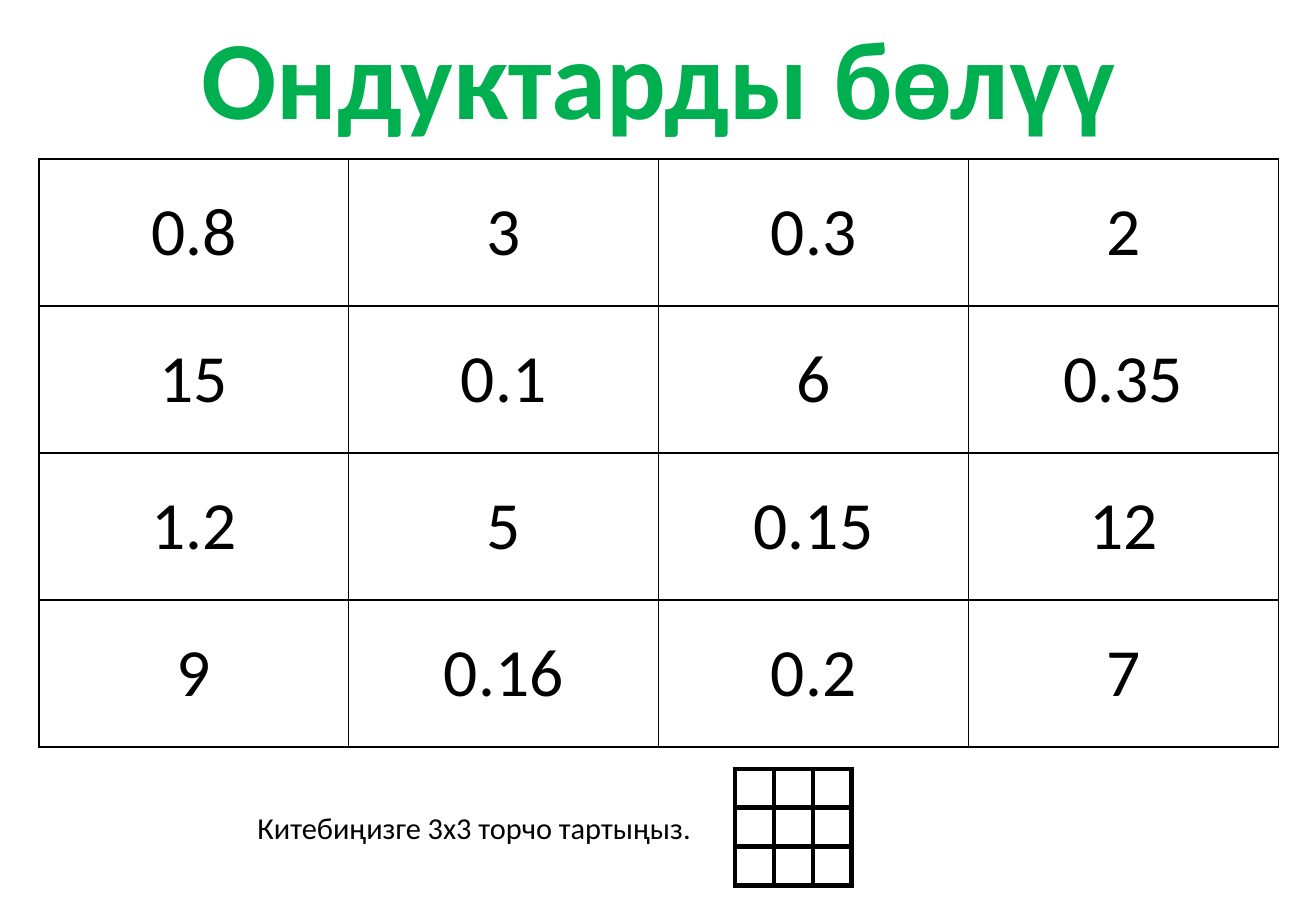
from lxml.etree import SubElement
from pptx import Presentation
from pptx.dml.color import RGBColor
from pptx.enum.text import MSO_ANCHOR, MSO_AUTO_SIZE, PP_ALIGN
from pptx.oxml.ns import qn
from pptx.util import Inches, Pt

BLACK = RGBColor(0, 0, 0)
WHITE = RGBColor(255, 255, 255)
GREEN = RGBColor(0, 0xB0, 0x50)


def add_grid(left, top, side, high, rows, line):
    """Add a table of equal white cells with black borders, line points wide."""
    count = len(rows[0])
    table = slide.shapes.add_table(
        len(rows), count, Inches(left), Inches(top),
        Inches(side * count), Inches(high * len(rows))).table
    table.first_row = table.horz_banding = False
    for col in table.columns:
        col.width = Inches(side)
    for row, texts in zip(table.rows, rows):
        row.height = Inches(high)
        for cell, text in zip(row.cells, texts):
            cell.margin_left = cell.margin_right = 0
            cell.margin_top = cell.margin_bottom = 0
            cell.vertical_anchor = MSO_ANCHOR.MIDDLE
            props = cell._tc.get_or_add_tcPr()
            for edge in ("a:lnL", "a:lnR", "a:lnT", "a:lnB"):
                border = SubElement(props, qn(edge), w=str(Pt(line)))
                fill = SubElement(border, qn("a:solidFill"))
                SubElement(fill, qn("a:srgbClr"), val=str(BLACK))
            cell.fill.solid()
            cell.fill.fore_color.rgb = WHITE
            if text:
                cell.text = text
                style(cell.text_frame.paragraphs[0], 40, BLACK, PP_ALIGN.CENTER)


def style(para, size, color, align, bold=False):
    para.alignment = align
    font = para.font
    font.name = "Calibri"
    font.size = Pt(size)
    font.bold = bold
    font.color.rgb = color


deck = Presentation()
deck.slide_width = Inches(10.83)
deck.slide_height = Inches(7.5)
slide = deck.slides.add_slide(deck.slide_layouts[6])

numbers = [
    ["0.8", "3", "0.3", "2"],
    ["15", "0.1", "6", "0.35"],
    ["1.2", "5", "0.15", "12"],
    ["9", "0.16", "0.2", "7"],
]
add_grid(0.32, 1.31, 2.55, 1.21, numbers, 1)
add_grid(6.05, 6.33, 0.32, 0.32, [[""] * 3] * 3, 3)

labels = [
    ("Ондуктарды бөлүү", (1.51, 0.02, 7.82, 1.21), 66, GREEN, PP_ALIGN.CENTER, True),
    ("Китебиңизге 3х3 торчо тартыңыз.", (2.02, 6.61, 3.81, 0.4), 18, BLACK,
     PP_ALIGN.LEFT, False),
]
for text, place, size, color, align, bold in labels:
    frame = slide.shapes.add_textbox(*map(Inches, place)).text_frame
    frame.word_wrap = False
    frame.auto_size = MSO_AUTO_SIZE.SHAPE_TO_FIT_TEXT
    frame.text = text
    style(frame.paragraphs[0], size, color, align, bold)

deck.save("out.pptx")
